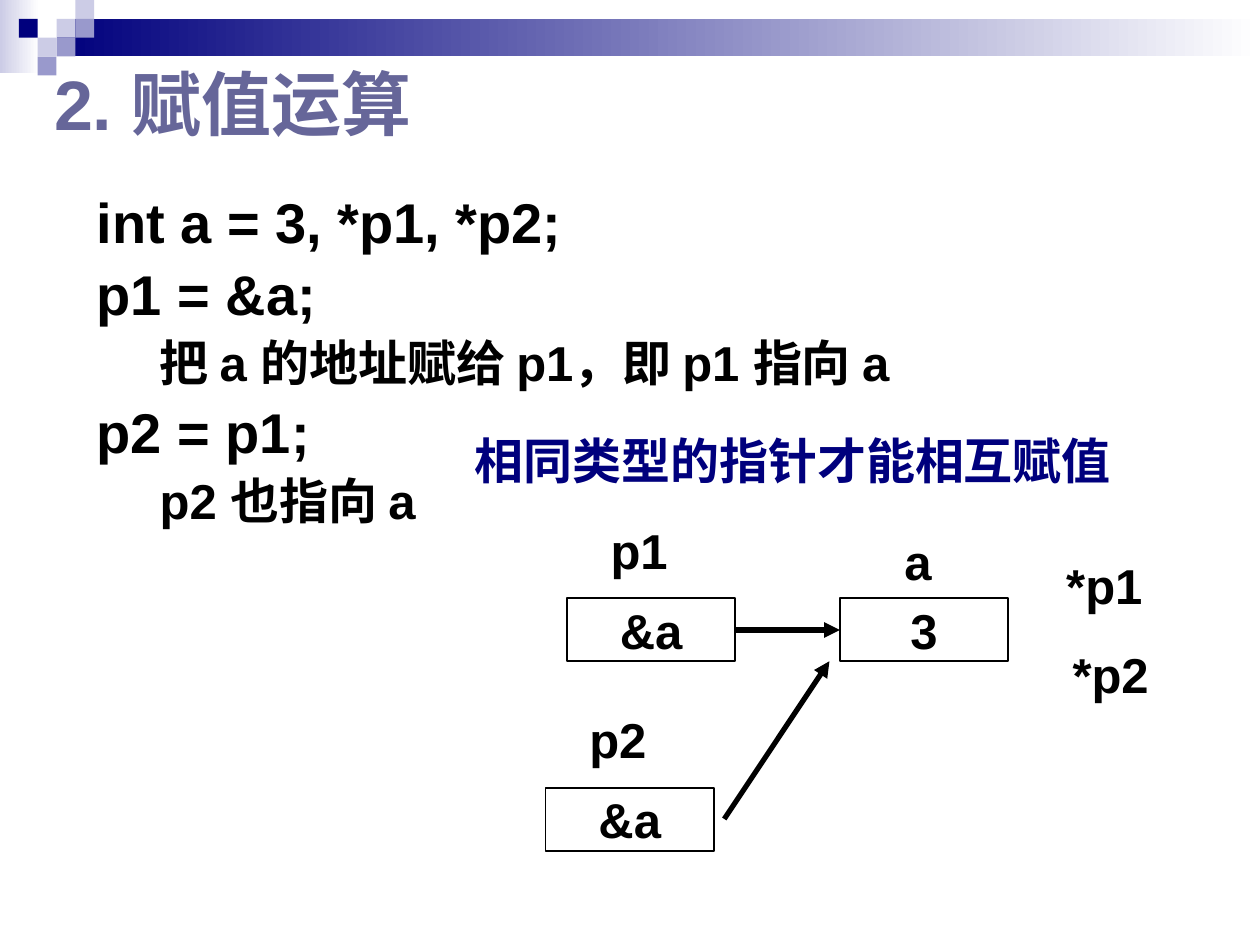
"""Build the slide on pointer assignment."""
from lxml.etree import SubElement
from pptx import Presentation
from pptx.dml.color import RGBColor
from pptx.enum.shapes import MSO_CONNECTOR, MSO_SHAPE
from pptx.enum.text import MSO_ANCHOR, PP_ALIGN
from pptx.oxml.ns import qn
from pptx.util import Cm, Pt


def rect(x, y, w, h, fill=None, fade=None, line=None):
    sp = s.shapes.add_shape(MSO_SHAPE.RECTANGLE, Cm(x), Cm(y), Cm(w), Cm(h))
    sp.shadow.inherit = False
    if fade:
        sp.fill.gradient()
        sp.fill.gradient_angle = 0
        for stop, c, pos in zip(sp.fill.gradient_stops, (fill, fade), (0, 1)):
            stop.color.rgb = RGBColor.from_string(c)
            stop.position = pos
    elif fill:
        sp.fill.solid()
        sp.fill.fore_color.rgb = RGBColor.from_string(fill)
    else:
        sp.fill.background()
    if line:
        sp.line.color.rgb = RGBColor.from_string(line)
        sp.line.width = Pt(1)
    else:
        sp.line.fill.background()
    return sp


def text(sp, txt, size=28, color="000000", align=PP_ALIGN.LEFT, anchor=MSO_ANCHOR.TOP,
         wrap=False, before=0, spacing=1.0, indent=0):
    tf = sp.text_frame
    tf.word_wrap = wrap
    tf.vertical_anchor = anchor
    p = tf.add_paragraph() if tf.text else tf.paragraphs[0]
    p.alignment = align
    p.space_before = Pt(before)
    p.line_spacing = spacing
    p._p.get_or_add_pPr().set("marL", str(Cm(indent)))
    r = p.add_run()
    r.text = txt
    r.font.name = "Arial"
    r.font.size = Pt(size)
    r.font.bold = True
    r.font.color.rgb = RGBColor.from_string(color)
    return p


prs = Presentation()
prs.slide_width, prs.slide_height = Cm(25.4), Cm(19.05)
s = prs.slides.add_slide(prs.slide_layouts[6])

rect(0, 0, 0.79, 1.47, "CCCCE6", fade="FFFFFF")
rect(1.14, 0.38, 24.26, 0.76, "00007D", fade="FFFFFF")
u = 0.38
for col, row, c in [(3, 1, "CCCCE6"), (4, 0, "CCCCE6"), (4, 1, "9999CC"), (2, 2, "CCCCE6"),
                    (1, 1, "00007D"), (3, 2, "9999CC"), (2, 3, "9999CC")]:
    rect(col * u, row * u, u, u, c)

title = s.shapes.add_textbox(Cm(0.84), Cm(1.14), Cm(12.27), Cm(1.9))
text(title, "2. 赋值运算", size=40, color="666699", anchor=MSO_ANCHOR.BOTTOM, wrap=True)

for x, y, txt in [(16.93, 12.06, "3"), (11.43, 12.06, "&a"), (11, 15.88, "&a")]:
    text(rect(x, y, 3.39, 1.27, line="000000"), txt,
         align=PP_ALIGN.CENTER, anchor=MSO_ANCHOR.MIDDLE)

for x, y, w, txt in [(17.98, 10.59, 1.07, "a"), (12.06, 10.37, 1.68, "p1"),
                     (11.63, 14.18, 1.68, "p2")]:
    text(s.shapes.add_textbox(Cm(x), Cm(y), Cm(w), Cm(1.45)), txt)

for x1, y1, x2, y2 in [(14.82, 12.7, 16.93, 12.7), (14.6, 16.51, 16.72, 13.33)]:
    ln = s.shapes.add_connector(MSO_CONNECTOR.STRAIGHT, Cm(x1), Cm(y1), Cm(x2), Cm(y2))
    ln.line.color.rgb = RGBColor.from_string("000000")
    ln.line.width = Pt(3)
    SubElement(ln.line._get_or_add_ln(), qn("a:tailEnd"), type="triangle")
    SubElement(ln._element.spPr, qn("a:effectLst"))

deref = s.shapes.add_textbox(Cm(21.21), Cm(10.92), Cm(2.36), Cm(3.4))
for txt in ("*p1", "*p2"):
    p = text(deref, txt, align=PP_ALIGN.CENTER, anchor=MSO_ANCHOR.MIDDLE, before=16)
    if txt == "*p1":
        r = p.add_run()
        r.text = " "
        r.font.size = Pt(32)

body = s.shapes.add_textbox(Cm(1.7), Cm(3.38), Cm(21.41), Cm(7.92))
for txt, size, spacing, indent in [
        ("int a = 3, *p1, *p2;", 32, 1.2, 0),
        ("p1 = &a;", 32, 0.9, 0),
        ("把 a 的地址赋给 p1，即 p1 指向 a", 28, 0.9, 1.27),
        ("p2 = p1;", 32, 0.9, 0),
        ("p2 也指向 a", 28, 0.9, 1.27)]:
    text(body, txt, size=size, wrap=True, before=size * 0.23, spacing=spacing, indent=indent)

note = s.shapes.add_textbox(Cm(9.32), Cm(8.69), Cm(13.41), Cm(1.32))
text(note, "相同类型的指针才能相互赋值", color="00007D", align=PP_ALIGN.JUSTIFY,
     before=6, spacing=0.9)

prs.save("out.pptx")
